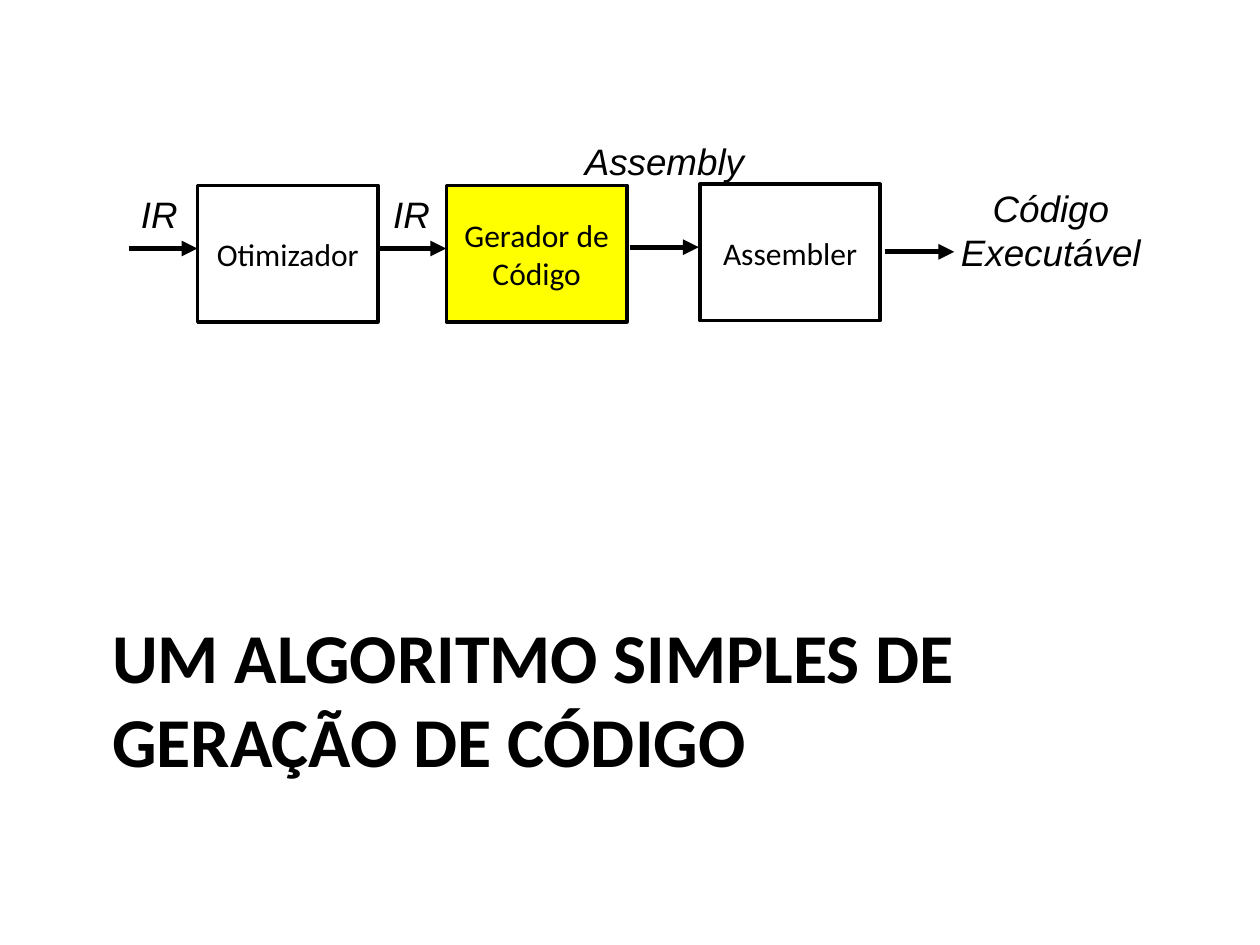
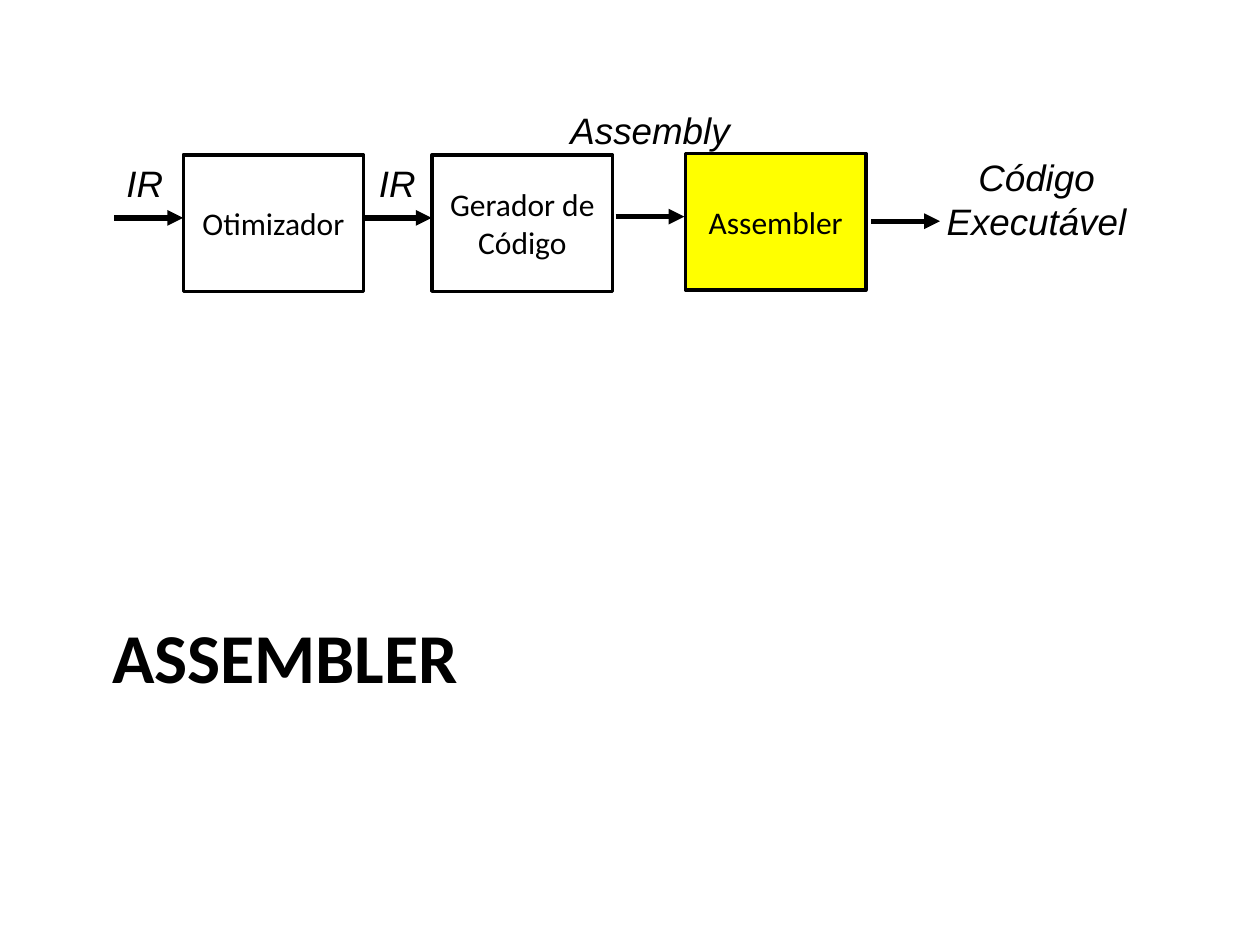
from typing import NamedTuple

from lxml.etree import SubElement
from pptx import Presentation
from pptx.dml.color import RGBColor
from pptx.enum.shapes import MSO_CONNECTOR as Link, MSO_SHAPE as Form
from pptx.enum.text import MSO_ANCHOR as Anchor, PP_ALIGN as Align
from pptx.oxml.ns import qn
from pptx.util import Pt

BLACK = RGBColor(0x00, 0x00, 0x00)
WHITE = RGBColor(0xFF, 0xFF, 0xFF)
YELLOW = RGBColor(0xFF, 0xFF, 0x00)
BOX_W, BOX_H = 103, 78
ARROW = 39.3


class Font(NamedTuple):
    name: str
    size: int
    bold: bool = False
    italic: bool = False


class Stage(NamedTuple):
    text: str
    x: float
    y: float


class Flow(NamedTuple):
    x: float
    y: float


class Label(NamedTuple):
    text: str
    x: float
    y: float
    w: float
    h: float


class Page(NamedTuple):
    title: str
    active: str
    x: float
    y: float


TITLE = Font("Calibri", 40, bold=True)
STAGE = Font("Calibri", 18)
LABEL = Font("Arial", 21, italic=True)

STAGES = [
    Stage("Otimizador", 0, 0),
    Stage("Gerador de Código", 142.2, 0),
    Stage("Assembler", 287, -0.7),
]
FLOWS = [Flow(-39.5, 36), Flow(102.6, 36), Flow(247, 35.3), Flow(393, 37.9)]
LABELS = [
    Label("IR", -44, 0, 44, 32),
    Label("IR", 100.2, 0, 44, 32),
    Label("Assembly", 217.2, -30.2, 99, 32),
    Label("Código Executável", 418, -3.6, 139, 58),
]
PAGES = [
    Page("UM ALGORITMO SIMPLES DE GERAÇÃO DE CÓDIGO", "Gerador de Código", 113, 106),
    Page("ASSEMBLER", "Assembler", 104.8, 88.5),
]


def write(shape, text: str, font: Font, align: Align, anchor: Anchor, pad: float) -> None:
    """Put one styled run of text in a shape."""
    frame = shape.text_frame
    frame.word_wrap = True
    frame.vertical_anchor = anchor
    frame.margin_left = frame.margin_right = Pt(pad)
    frame.margin_top = frame.margin_bottom = Pt(3.6)
    para = frame.paragraphs[0]
    para.alignment = align
    run = para.add_run()
    run.text = text
    run.font.name = font.name
    run.font.size = Pt(font.size)
    run.font.bold = font.bold
    run.font.italic = font.italic
    run.font.color.rgb = BLACK


def add_title(slide, text: str) -> None:
    """Draw the section title."""
    box = slide.shapes.add_textbox(Pt(57), Pt(347), Pt(612), Pt(107))
    write(box, text, TITLE, Align.LEFT, Anchor.TOP, 7.2)


def add_stage(slide, stage: Stage, page: Page) -> None:
    """Draw one compiler stage, yellow when it is the active one."""
    box = slide.shapes.add_shape(
        Form.RECTANGLE, Pt(page.x + stage.x), Pt(page.y + stage.y), Pt(BOX_W), Pt(BOX_H)
    )
    box.shadow.inherit = False
    box.fill.solid()
    box.fill.fore_color.rgb = YELLOW if stage.text == page.active else WHITE
    box.line.color.rgb = BLACK
    box.line.width = Pt(2)
    write(box, stage.text, STAGE, Align.CENTER, Anchor.MIDDLE, 3.6)


def add_flow(slide, flow: Flow, page: Page) -> None:
    """Draw one arrow between stages."""
    x, y = page.x + flow.x, page.y + flow.y
    line = slide.shapes.add_connector(Link.STRAIGHT, Pt(x), Pt(y), Pt(x + ARROW), Pt(y))
    line.line.color.rgb = BLACK
    line.line.width = Pt(3)
    SubElement(line.line._get_or_add_ln(), qn("a:tailEnd"), type="triangle")
    SubElement(line._element.spPr, qn("a:effectLst"))


def add_label(slide, label: Label, page: Page) -> None:
    """Draw the name of what an arrow carries."""
    box = slide.shapes.add_textbox(
        Pt(page.x + label.x), Pt(page.y + label.y), Pt(label.w), Pt(label.h)
    )
    write(box, label.text, LABEL, Align.CENTER, Anchor.TOP, 3.6)


def main() -> None:
    """Build and save the deck."""
    deck = Presentation()
    deck.slide_width, deck.slide_height = Pt(720), Pt(540)
    for page in PAGES:
        slide = deck.slides.add_slide(deck.slide_layouts[6])
        add_title(slide, page.title)
        for flow in FLOWS:
            add_flow(slide, flow, page)
        for stage in STAGES:
            add_stage(slide, stage, page)
        for label in LABELS:
            add_label(slide, label, page)
    deck.save("out.pptx")


if __name__ == "__main__":
    main()
